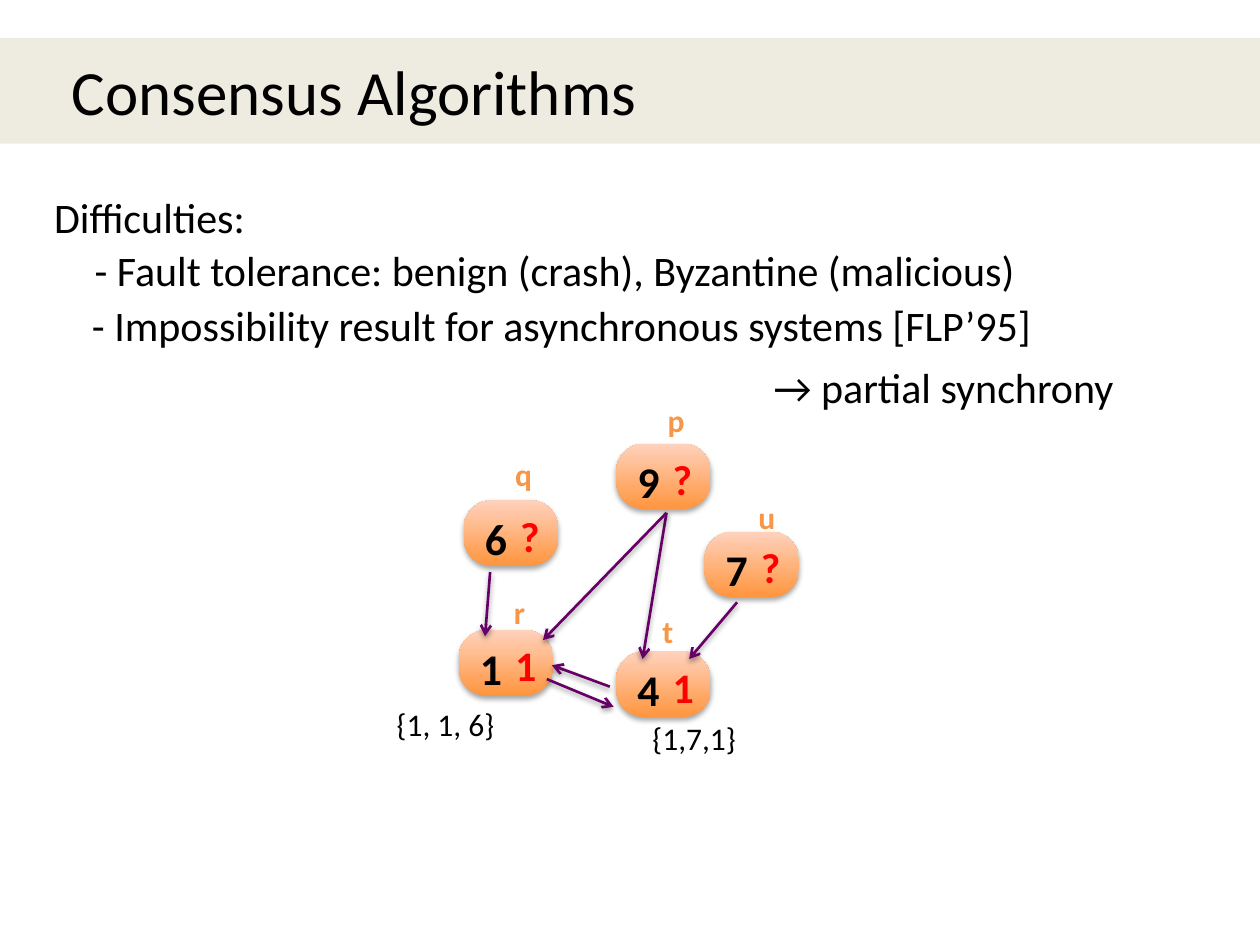
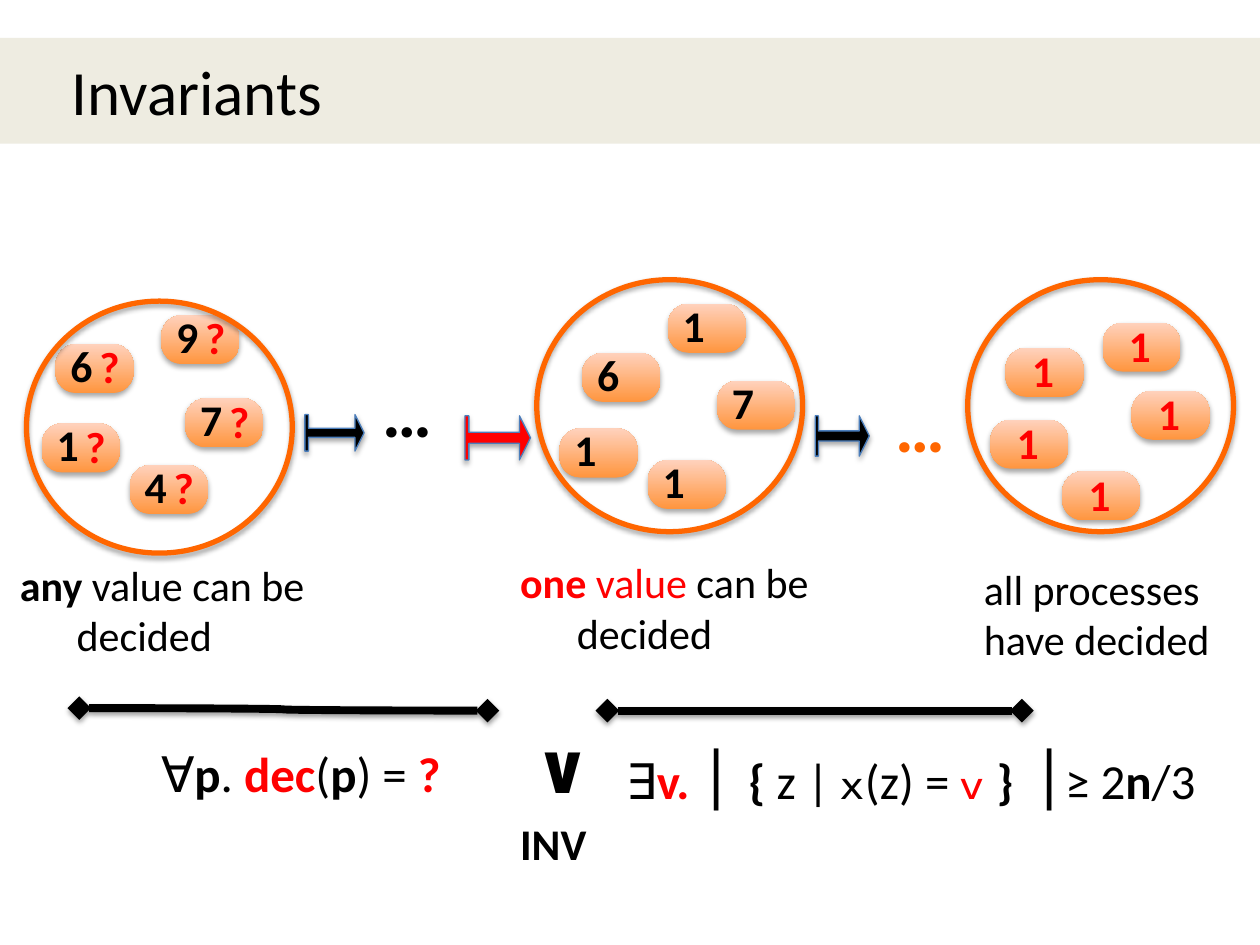
from lxml import etree
from pptx import Presentation
from pptx.dml.color import RGBColor
from pptx.enum import shapes as sh, text as tx
from pptx.oxml import ns
from pptx.util import Inches, Pt

BLACK = RGBColor(0, 0, 0)
RED = RGBColor(255, 0, 0)
BAND = RGBColor(0xEE, 0xEC, 0xE1)
DEEP = RGBColor(0xFF, 0x95, 0x3E)
PALE = RGBColor(0xFF, 0xD2, 0xBD)
NAME = RGBColor(0xF7, 0x96, 0x46)
RING = RGBColor(0xFF, 0x66, 0x00)
EDGE = RGBColor(0x4B, 0x7E, 0xBC)
PLUM = RGBColor(0x66, 0x00, 0x66)

PLAIN = dict(name="Calibri", size=24, bold=False, color=BLACK)
BOLD = dict(bold=True)
HOT = dict(bold=True, color=RED)


def style(font, fmt):
    """Apply a dict of format values to a font."""
    for key, val in {**PLAIN, **fmt}.items():
        if key == "color":
            font.color.rgb = val
        else:
            setattr(font, key, Pt(val) if key == "size" else val)


def place(shape, x, y, w, h):
    """Move a shape to a box in inches."""
    for key, val in dict(left=x, top=y, width=w, height=h).items():
        setattr(shape, key, Inches(val))


def indent(para, left):
    """Set a left indent without a bullet."""
    props = para._p.get_or_add_pPr()
    props.set("marL", str(Inches(left)))
    props.set("indent", "0")
    etree.SubElement(props, ns.qn("a:buNone"))


def write(para, runs, **base):
    """Fill a paragraph with text or with (text, format) runs."""
    for words, fmt in [(runs, {})] if isinstance(runs, str) else runs:
        run = para.add_run()
        run.text = words
        style(run.font, {**base, **fmt})


def label(slide, x, y, w, h, *lines, inset=0, **base):
    """Add a text box with one paragraph per line, later ones inset."""
    frame = slide.shapes.add_textbox(*map(Inches, (x, y, w, h))).text_frame
    frame.word_wrap = True
    frame.margin_right = 0
    for i, runs in enumerate(lines):
        para = frame.add_paragraph() if i else frame.paragraphs[0]
        if i and inset:
            indent(para, inset)
        write(para, runs, **base)


def shade(shape, alpha=35, dist=1.8):
    """Give a shape or line a soft shadow below it."""
    effects = etree.SubElement(shape._element.spPr, ns.qn("a:effectLst"))
    outer = etree.SubElement(effects, ns.qn("a:outerShdw"), blurRad=str(Pt(3.1)),
                             dist=str(Pt(dist)), dir="5400000", rotWithShape="0")
    color = etree.SubElement(outer, ns.qn("a:srgbClr"), val="000000")
    etree.SubElement(color, ns.qn("a:alpha"), val=str(alpha * 1000))


def link(slide, start, end, color, width, kind, **ends):
    """Draw a shaded connector with the given line ends."""
    line = slide.shapes.add_connector(kind, *map(Inches, (*start, *end)))
    line.line.color.rgb = color
    line.line.width = Pt(width)
    for end, mark in ends.items():
        etree.SubElement(line.line._get_or_add_ln(), ns.qn(f"a:{end}End"), type=mark)
    shade(line, 38, 1.6)


def pill(slide, x, y, w, h):
    """Draw the orange rounded box of a process."""
    box = slide.shapes.add_shape(sh.MSO_SHAPE.ROUNDED_RECTANGLE, *map(Inches, (x, y, w, h)))
    box.adjustments[0] = 0.427
    box.fill.gradient()
    box.fill.gradient_angle = 90
    for stop, color in zip(box.fill.gradient_stops, (DEEP, PALE)):
        stop.color.rgb = color
    box.line.fill.background()
    shade(box)


def head(slide, words):
    """Turn the title into the band at the top."""
    title = slide.shapes.title
    place(title, 0, 0.3, 10, 0.84)
    title.fill.solid()
    title.fill.fore_color.rgb = BAND
    frame = title.text_frame
    frame.auto_size = tx.MSO_AUTO_SIZE.NONE
    frame.vertical_anchor = tx.MSO_ANCHOR.MIDDLE
    frame.margin_left = Inches(0.57)
    para = frame.paragraphs[0]
    para.alignment = tx.PP_ALIGN.LEFT
    write(para, words, size=36)


def points(body, x, y, w, h):
    """Fill the body with the list of difficulties."""
    place(body, x, y, w, h)
    frame = body.text_frame
    frame.auto_size = tx.MSO_AUTO_SIZE.NONE
    rows = [("Difficulties:", 0, 0),
            ("- Fault tolerance: benign (crash), Byzantine (malicious)", 0.32, 1.7),
            ("- Impossibility result for asynchronous systems [FLP’95]", 0.3, 2.4),
            ("→ partial synchrony", 5.71, 6.7)]
    for i, (words, left, gap) in enumerate(rows):
        para = frame.add_paragraph() if i else frame.paragraphs[0]
        indent(para, left)
        para.space_before = Pt(gap)
        write(para, words)


def graph(slide, x, y):
    """Draw the five processes and the messages they send."""
    nodes = [("p", "9", "?", 1.84, 0.39, 0.31, -0.39),
             ("q", "6", "?", 0.63, 0.84, 0.31, -0.41),
             ("r", "1", "1", 0.59, 1.87, 0.34, -0.34),
             ("u", "7", "?", 2.54, 1.09, 0.33, -0.32),
             ("t", "4", "1", 1.84, 2.04, 0.27, -0.36)]
    for name, val, choice, dx, dy, nx, ny in nodes:
        left, top = x + dx, y + dy
        pill(slide, left, top, 0.75, 0.52)
        label(slide, left + 0.07, top + 0.04, 0.38, 0.52, val, size=25, bold=True)
        label(slide, left + 0.35, top + 0.03, 0.36, 0.5, choice, **HOT)
        label(slide, left + nx, top + ny, 0.33, 0.4, name, size=18, bold=True, color=NAME)
    sends = [(0.84, 1.41, 0.8, 1.92), (2.24, 0.94, 2.05, 2.1), (2.8, 1.65, 2.42, 2.1),
             (2.24, 0.94, 1.26, 1.95), (1.79, 2.32, 1.33, 2.15), (1.29, 2.26, 1.82, 2.48)]
    for ax, ay, bx, by in sends:
        link(slide, (x + ax, y + ay), (x + bx, y + by), PLUM, 1.5,
             sh.MSO_CONNECTOR.STRAIGHT, tail="arrow")
    label(slide, x, y + 2.42, 0.99, 0.4, "{1, 1, 6}", size=18)
    label(slide, x + 2.03, y + 2.53, 0.88, 0.4, "{1,7,1}", size=18)


def state(slide, x, y, cells, choice="", shift=0.25):
    """Draw a ring of processes, each with its value and decision."""
    for val, dx, dy in cells:
        left, top = x + dx, y + dy
        pill(slide, left, top, 0.62, 0.39)
        if val:
            label(slide, left + 0.02, top - 0.09, 0.42, 0.57, val, size=25, bold=True)
        if choice:
            label(slide, left + shift, top - 0.08, 0.38, 0.52, choice, size=25, **HOT)
    ring = slide.shapes.add_shape(sh.MSO_SHAPE.OVAL, *map(Inches, (x, y, 2.11, 2)))
    ring.fill.background()
    ring.line.color.rgb = RING
    ring.line.width = Pt(3)
    shade(ring)


def step(slide, x, y, w, h, color):
    """Draw a barred arrow from one state to the next."""
    arrow = slide.shapes.add_shape(sh.MSO_SHAPE.RIGHT_ARROW_CALLOUT, *map(Inches, (x, y, w, h)))
    for i, val in enumerate((0.25, 0.5, 0.25, 0.06)):
        arrow.adjustments[i] = val
    arrow.fill.solid()
    arrow.fill.fore_color.rgb = color
    arrow.line.color.rgb = EDGE
    arrow.line.width = Pt(0.75)
    shade(arrow)


def chain(slide, x, y):
    """Draw the three states with their steps and captions."""
    state(slide, x, y + 0.17, [("1", 0.12, 0.97), ("6", 0.23, 0.34), ("9", 1.07, 0.11),
                               ("4", 0.82, 1.3), ("7", 1.26, 0.77)], "?")
    state(slide, x + 4.05, y, [("1", 0.18, 1.18), ("6", 0.36, 0.58), ("1", 1.04, 0.19),
                               ("1", 0.88, 1.43), ("7", 1.43, 0.8)])
    state(slide, x + 7.47, y, [("", 0.18, 1.11), ("", 0.3, 0.54), ("", 1.07, 0.34),
                               ("", 0.75, 1.52), ("", 1.3, 0.88)], "1", 0.11)
    step(slide, x + 2.21, y + 1.07, 0.47, 0.29, BLACK)
    step(slide, x + 3.48, y + 1.08, 0.52, 0.35, RED)
    step(slide, x + 6.26, y + 1.08, 0.43, 0.32, BLACK)
    for dx, dy, color in [(2.73, 0.65, BLACK), (6.8, 0.77, RING)]:
        label(slide, x + dx, y + dy, 0.6, 0.77, "…", size=40, bold=True, color=color)
    label(slide, x - 0.15, y + 2.17, 2.55, 0.91,
          [("any ", BOLD), ("value can be", {})], "decided", inset=0.45)
    label(slide, x + 3.82, y + 2.15, 2.55, 0.91,
          [("one", HOT), (" value", dict(color=RED)), (" can be", {})], "decided", inset=0.45)
    label(slide, x + 7.5, y + 2.2, 2.02, 0.91, "all processes", "have decided")


def rule(slide, x, y):
    """Draw the two spans and the invariant below them."""
    for start, end in [((4.19, 0.02), (7.48, 0.02)), ((3.24, 0.02), (0, 0))]:
        link(slide, (x + start[0], y + start[1]), (x + end[0], y + end[1]), BLACK, 4.5,
             sh.MSO_CONNECTOR.CURVE, head="diamond", tail="diamond")
    label(slide, x + 3.4, y + 0.81, 0.73, 0.52, "INV", size=25, bold=True)
    label(slide, x + 3.51, y + 0.07, 0.54, 0.77, "∨", size=40, bold=True)
    label(slide, x + 0.55, y + 0.23, 2.55, 0.57,
          [("∀", {}), ("p", BOLD), (". ", {}), ("dec", HOT), ("(", {}), ("p", BOLD),
           (") = ", {}), ("?", HOT)], size=28)
    bar, spartan = dict(size=40), dict(name="League Spartan")
    label(slide, x + 4.24, y + 0.12, 3.4, 0.77,
          [("∃", {}), ("v. ", HOT), ("| ", bar), ("{", BOLD), (" z | ", {}), ("x", spartan),
           ("(z) = ", {}), ("v ", dict(color=RED, **spartan)), ("}", BOLD)], size=28)
    label(slide, x + 7.47, y + 0.12, 1.52, 0.77,
          [("|", bar), ("≥ 2", {}), ("n", BOLD), ("/3", {})], size=28)


def main():
    """Build both slides and save them."""
    deck = Presentation()
    deck.slide_width, deck.slide_height = Inches(10), Inches(7.5)
    slide = deck.slides.add_slide(deck.slide_layouts[1])
    head(slide, "Consensus Algorithms")
    points(slide.placeholders[1], 0.33, 1.47, 8.78, 1.87)
    graph(slide, 3.05, 3.13)
    slide = deck.slides.add_slide(deck.slide_layouts[5])
    head(slide, "Invariants")
    chain(slide, 0.21, 2.22)
    rule(slide, 0.63, 5.62)
    deck.save("out.pptx")


if __name__ == "__main__":
    main()
